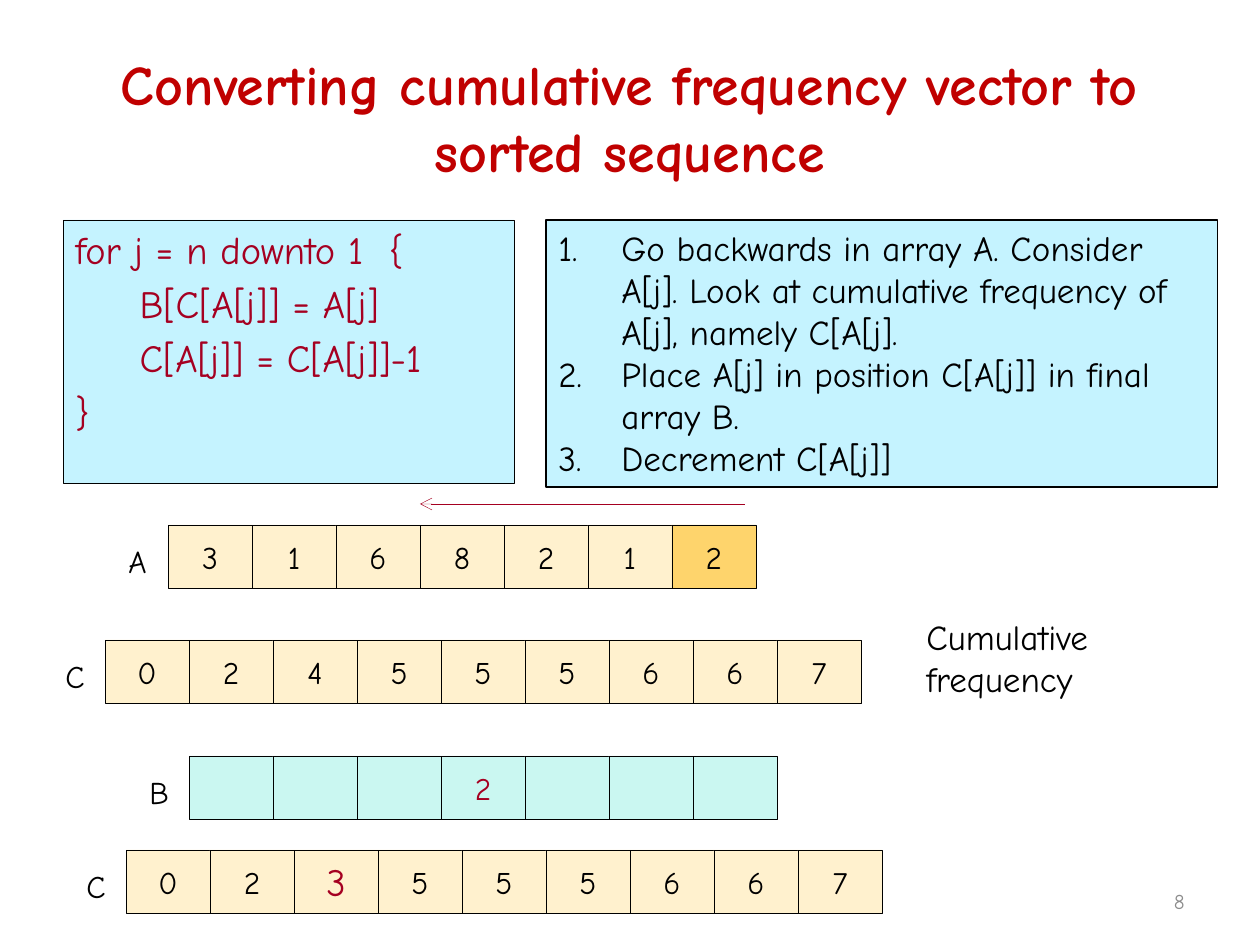
import pptx
import pptx.util
import pptx.dml.color
import pptx.enum.shapes
import pptx.enum.text
import pptx.oxml
import pptx.oxml.ns
from lxml import etree

PX = 914400 // 126
FONT = "Comic Neue"
COLORS = {
    "title": "C00000", "code": "A50021", "text": "000000", "number": "8C8C8C",
    "panel": "C5F3FF", "cell": "FFF1CE", "current": "FED46C", "output": "CAF7F1",
}
TITLE = "Converting cumulative frequency vector to sorted sequence"
CODE = [
    "for j = n downto 1  {",
    "     B[C[A[j]] = A[j]",
    "     C[A[j]] = C[A[j]]-1",
    "}",
]
STEPS = [
    "Go backwards in array A. Consider A[j]. Look at cumulative frequency "
    "of A[j], namely C[A[j].",
    "Place A[j] in position C[A[j]] in final array B.",
    "Decrement C[A[j]]",
]
# name, left, top, values, fill, {index: changed look}
ROWS = [
    ("A", 168, 525, "3 1 6 8 2 1 2".split(), "cell", {6: {"fill": "current"}}),
    ("C", 105, 640, "0 2 4 5 5 5 6 6 7".split(), "cell", {}),
    ("B", 189, 756, ["", "", "", "2", "", "", ""], "output", {3: {"color": "code"}}),
    ("C", 126, 850, "0 2 3 5 5 5 6 6 7".split(), "cell",
     {2: {"color": "code", "size": 22}}),
]
CELL_W, CELL_H = 84, 63

ALIGN = pptx.enum.text.PP_ALIGN
ANCHOR = pptx.enum.text.MSO_ANCHOR
Pt = pptx.util.Pt


def rgb(name):
    return pptx.dml.color.RGBColor.from_string(COLORS[name])


def write(shape, lines, size, color="text", align=ALIGN.LEFT, anchor=ANCHOR.TOP,
          bold=False, hang=0, gap=0, number=False):
    """Fill a shape with paragraphs; hang is the hanging indent in px."""
    frame = shape.text_frame
    frame.word_wrap = True
    frame.vertical_anchor = anchor
    for i, line in enumerate(lines):
        para = frame.add_paragraph() if i else frame.paragraphs[0]
        para.text = line
        para.alignment = align
        if i and gap:
            para.space_before = Pt(gap)
        props = para._p.get_or_add_pPr()
        if hang:
            props.set("marL", str(hang * PX))
            props.set("indent", str(-hang * PX))
        if number:
            bullet = etree.SubElement(props, pptx.oxml.ns.qn("a:buAutoNum"))
            bullet.set("type", "arabicPeriod")
        font = para.font
        font.name, font.size, font.bold = FONT, Pt(size), bold
        font.color.rgb = rgb(color)


def text(slide, box, lines, size, **look):
    shape = slide.shapes.add_textbox(*(n * PX for n in box))
    write(shape, lines, size, **look)


def rect(slide, box, fill, width=0.25):
    kind = pptx.enum.shapes.MSO_SHAPE.RECTANGLE
    shape = slide.shapes.add_shape(kind, *(n * PX for n in box))
    shape.shadow.inherit = False
    shape.fill.solid()
    shape.fill.fore_color.rgb = rgb(fill)
    shape.line.color.rgb = rgb("text")
    shape.line.width = Pt(width)
    return shape


def arrow(slide, ends, color):
    kind = pptx.enum.shapes.MSO_CONNECTOR.STRAIGHT
    line = slide.shapes.add_connector(kind, *(n * PX for n in ends))
    line.line.color.rgb = rgb(color)
    line.line.width = Pt(0.25)
    tail = etree.SubElement(line.line._get_or_add_ln(), pptx.oxml.ns.qn("a:tailEnd"))
    tail.set("type", "arrow")
    etree.SubElement(line._element.spPr, pptx.oxml.ns.qn("a:effectLst"))


def row(slide, name, left, top, values, fill, marks):
    text(slide, (left - 52, top + 11, 49, 50), [name], 18)
    for i, value in enumerate(values):
        mark = marks.get(i, {})
        box = (left + i * CELL_W, top, CELL_W, CELL_H)
        cell = rect(slide, box, mark.get("fill", fill))
        if value:
            write(cell, [value], mark.get("size", 18), mark.get("color", "text"),
                  ALIGN.CENTER, ANCHOR.MIDDLE)


def main():
    deck = pptx.Presentation()
    deck.slide_width, deck.slide_height = 1260 * PX, 945 * PX
    slide = deck.slides.add_slide(deck.slide_layouts[6])
    text(slide, (63, 38, 1134, 157), [TITLE], 32, color="title",
         align=ALIGN.CENTER, anchor=ANCHOR.MIDDLE, bold=True)
    code = rect(slide, (63, 220, 451, 263), "panel")
    write(code, CODE, 22, "code", hang=48, gap=4.4)
    steps = rect(slide, (546, 220, 672, 267), "panel", 0.75)
    write(steps, STEPS, 20, hang=63, number=True)
    arrow(slide, (745, 504, 420, 504), "code")
    for item in ROWS:
        row(slide, *item)
    text(slide, (914, 609, 210, 97), ["Cumulative frequency"], 20)
    text(slide, (903, 876, 294, 50), ["8"], 12, color="number",
         align=ALIGN.RIGHT, anchor=ANCHOR.MIDDLE)
    deck.save("out.pptx")


if __name__ == "__main__":
    main()
